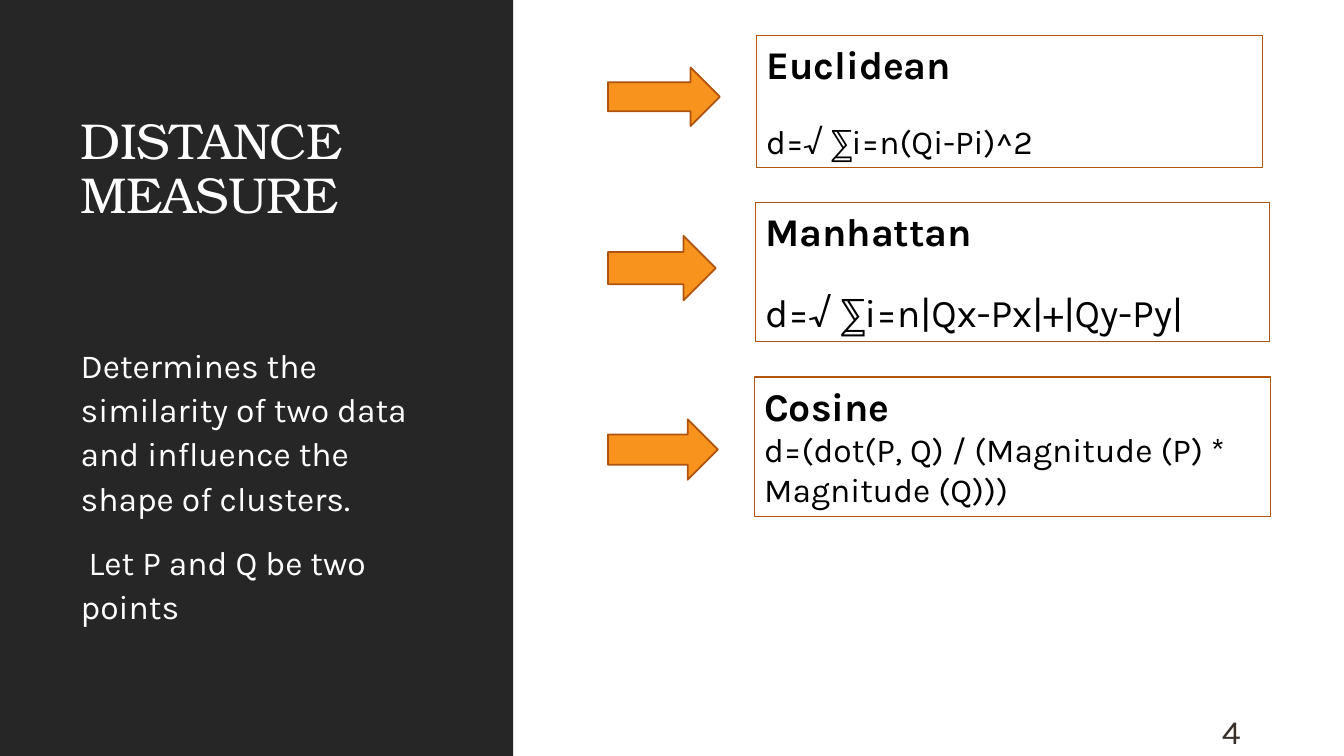
from dataclasses import dataclass

from lxml.etree import SubElement
from pptx import Presentation
from pptx.dml.color import RGBColor
from pptx.enum.shapes import MSO_SHAPE
from pptx.enum.text import MSO_ANCHOR, MSO_AUTO_SIZE, PP_ALIGN
from pptx.oxml.ns import qn
from pptx.util import Inches, Pt


@dataclass(frozen=True)
class Theme:
    heading_font: str = "TeX Gyre Bonum"
    body_font: str = "Karla"
    panel: str = "262626"
    white: str = "FFFFFF"
    black: str = "000000"
    number: str = "39302A"
    arrow: str = "F8931D"
    arrow_line: str = "AF5310"
    box_line: str = "B3540F"
    title_size: int = 36
    name_size: int = 28
    text_size: int = 24


THEME = Theme()

# name, formula, formula size, gap above formula, arrow place, box place
MEASURES = [
    ("Euclidean", "d=√ ⅀i=n(Qi-Pi)^2", THEME.text_size, 24,
     (6.03, 0.67, 1.11, 0.58), (7.5, 0.35, 5.02, 1.31)),
    ("Manhattan", "d=√ ⅀i=n|Qx-Px|+|Qy-Py|", THEME.name_size, 24,
     (6.03, 2.34, 1.07, 0.64), (7.49, 2.01, 5.1, 1.38)),
    ("Cosine", "d=(dot(P, Q) / (Magnitude (P) * Magnitude (Q)))", THEME.text_size, 0,
     (6.03, 4.16, 1.09, 0.6), (7.48, 3.74, 5.12, 1.38)),
]


def place(shape, left, top, width, height):
    shape.left, shape.top = Inches(left), Inches(top)
    shape.width, shape.height = Inches(width), Inches(height)


def style(para, size, color, font=THEME.body_font, bold=False):
    para.alignment = PP_ALIGN.LEFT
    for span in para.runs:
        span.font.name = font
        span.font.size = Pt(size)
        span.font.bold = bold
        span.font.color.rgb = RGBColor.from_string(color)


def prepare_frame(shape, anchor=MSO_ANCHOR.TOP):
    frame = shape.text_frame
    frame.word_wrap = True
    frame.auto_size = MSO_AUTO_SIZE.NONE
    frame.vertical_anchor = anchor
    return frame


def add_block(page, kind, position, fill, line=None, weight=0.75):
    block = page.shapes.add_shape(kind, *map(Inches, position))
    block.shadow.inherit = False
    block.fill.solid()
    block.fill.fore_color.rgb = RGBColor.from_string(fill)
    if line:
        block.line.color.rgb = RGBColor.from_string(line)
        block.line.width = Pt(weight)
    else:
        block.line.fill.background()
    return block


def add_panel(page):
    panel = add_block(page, MSO_SHAPE.RECTANGLE, (0, 0, 5.09, 7.5), THEME.panel)
    page.shapes.element.insert(2, panel.element)  # behind the placeholders


def fill_title(title):
    place(title, 0.7, 0.84, 3.85, 1.44)
    frame = prepare_frame(title, MSO_ANCHOR.BOTTOM)
    frame.text = "DISTANCE MEASURE"
    para = frame.paragraphs[0]
    para.line_spacing = 0.9
    style(para, THEME.title_size, THEME.white, THEME.heading_font)
    para.runs[0].font.element.set("spc", "-50") if hasattr(
        para.runs[0].font, "element") else para.runs[0]._r.get_or_add_rPr().set("spc", "-50")


def fill_body(body):
    place(body, 0.7, 3.33, 3.85, 2.74)
    frame = prepare_frame(body)
    lines = [
        ("Determines the similarity of two data and influence the shape of clusters.", 0, 0),
        ("Let P and Q be two points", 0.08, 12),
    ]
    for index, (text, indent, space) in enumerate(lines):
        para = frame.add_paragraph() if index else frame.paragraphs[0]
        para.text = text
        properties = para._p.get_or_add_pPr()
        properties.set("marL", "0")
        properties.set("indent", str(Inches(indent)))
        SubElement(properties, qn("a:buNone"))
        para.line_spacing = 1.1
        para.space_before = Pt(space)
        para.space_after = Pt(2)
        style(para, THEME.text_size, THEME.white)


def add_measure(page, name, formula, size, gap, arrow_place, box_place):
    add_block(page, MSO_SHAPE.RIGHT_ARROW, arrow_place, THEME.arrow, THEME.arrow_line, 1.25)
    box = add_block(page, MSO_SHAPE.RECTANGLE, box_place, THEME.white, THEME.box_line)
    frame = prepare_frame(box)
    frame.text = name
    style(frame.paragraphs[0], THEME.name_size, THEME.black, bold=True)
    para = frame.add_paragraph()
    para.text = formula
    para.space_before = Pt(gap)
    style(para, size, THEME.black)


def add_page_number(page):
    box = page.shapes.add_textbox(*map(Inches, (12.02, 7.05, 0.85, 0.4)))
    frame = prepare_frame(box, MSO_ANCHOR.MIDDLE)
    frame.text = "4"
    style(frame.paragraphs[0], THEME.text_size, THEME.number)


def main():
    deck = Presentation()
    deck.slide_width, deck.slide_height = Inches(13.33), Inches(7.5)
    page = deck.slides.add_slide(deck.slide_layouts[1])

    # Dark side panel with title and description
    add_panel(page)
    fill_title(page.shapes.title)
    fill_body(page.placeholders[1])

    # Distance measures, each with its arrow
    for measure in MEASURES:
        add_measure(page, *measure)

    add_page_number(page)
    deck.save("out.pptx")


if __name__ == "__main__":
    main()
